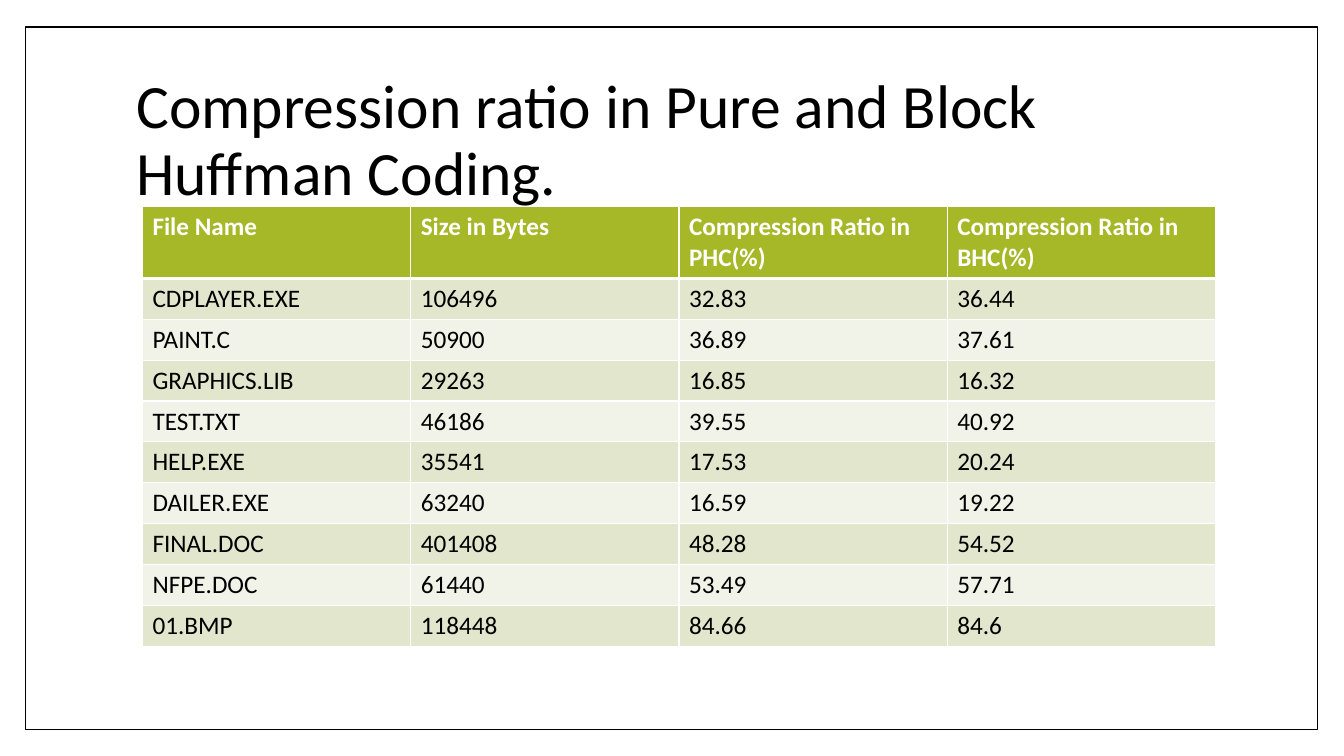
"""Build a slide comparing compression ratios of pure and block Huffman coding."""
import lxml.etree
import pptx
import pptx.dml.color
import pptx.enum.shapes
import pptx.enum.text
import pptx.oxml.ns
import pptx.util

Cm, Pt = pptx.util.Cm, pptx.util.Pt
RGBColor = pptx.dml.color.RGBColor

TITLE = "Compression ratio in Pure and Block Huffman Coding."
HEADINGS = ("File Name", "Size in Bytes", "Compression Ratio in PHC(%)", "Compression Ratio in BHC(%)")
FILES = [
    ("CDPLAYER.EXE", "106496", "32.83", "36.44"),
    ("PAINT.C", "50900", "36.89", "37.61"),
    ("GRAPHICS.LIB", "29263", "16.85", "16.32"),
    ("TEST.TXT", "46186", "39.55", "40.92"),
    ("HELP.EXE", "35541", "17.53", "20.24"),
    ("DAILER.EXE", "63240", "16.59", "19.22"),
    ("FINAL.DOC", "401408", "48.28", "54.52"),
    ("NFPE.DOC", "61440", "53.49", "57.71"),
    ("01.BMP", "118448", "84.66", "84.6"),
]

FONT = "Calibri"
BLACK = RGBColor(0x00, 0x00, 0x00)
WHITE = RGBColor(0xFF, 0xFF, 0xFF)
GREEN = RGBColor(0xA6, 0xB7, 0x27)
BANDS = (RGBColor(0xE1, 0xE6, 0xCD), RGBColor(0xF1, 0xF3, 0xE8))

COLUMN_WIDTH = Cm(6.76)
HEADER_HEIGHT = Cm(1.78)
ROW_HEIGHT = Cm(1.03)


def add_span(para, text, size, color, bold=False):
    """Add one formatted run to a paragraph."""
    span = para.add_run()
    span.text = text
    span.font.name = FONT
    span.font.size = Pt(size)
    span.font.bold = bold
    span.font.color.rgb = color


def add_frame(page):
    """Draw the page border behind everything else."""
    frame = page.shapes.add_shape(
        pptx.enum.shapes.MSO_SHAPE.RECTANGLE, Cm(0.64), Cm(0.68), Cm(32.56), Cm(17.7))
    frame.shadow.inherit = False
    frame.fill.solid()
    frame.fill.fore_color.rgb = WHITE
    frame.line.color.rgb = BLACK
    frame.line.width = Pt(1)
    page.shapes.title._element.addprevious(frame._element)


def add_title(page):
    """Place and fill the title."""
    title = page.shapes.title
    title.left, title.top, title.width, title.height = Cm(3.18), Cm(1.7), Cm(27.43), Cm(3.76)
    box = title.text_frame
    box.word_wrap = True
    box.auto_size = pptx.enum.text.MSO_AUTO_SIZE.NONE
    box.vertical_anchor = pptx.enum.text.MSO_ANCHOR.MIDDLE
    para = box.paragraphs[0]
    para.alignment = pptx.enum.text.PP_ALIGN.LEFT
    para.line_spacing = 0.9
    add_span(para, TITLE, 44, BLACK)


def set_borders(cell, top, bottom):
    """Give a cell white borders, with top and bottom widths in points."""
    properties = cell._tc.get_or_add_tcPr()
    for side, width in (("L", 1), ("R", 1), ("T", top), ("B", bottom)):
        line = lxml.etree.SubElement(
            properties, pptx.oxml.ns.qn(f"a:ln{side}"), w=str(Pt(width)))
        fill = lxml.etree.SubElement(line, pptx.oxml.ns.qn("a:solidFill"))
        lxml.etree.SubElement(fill, pptx.oxml.ns.qn("a:srgbClr"), val=str(WHITE))


def add_ratio_table(page):
    """Build the table of files and ratios."""
    rows = [HEADINGS, *FILES]
    table = page.shapes.add_table(
        len(rows), len(HEADINGS), Cm(3.59), Cm(5.21),
        COLUMN_WIDTH * len(HEADINGS), HEADER_HEIGHT + ROW_HEIGHT * len(FILES)).table
    for column in table.columns:
        column.width = COLUMN_WIDTH
    for row_index, values in enumerate(rows):
        header = row_index == 0
        table.rows[row_index].height = HEADER_HEIGHT if header else ROW_HEIGHT
        for column_index, value in enumerate(values):
            cell = table.cell(row_index, column_index)
            set_borders(cell, 3 if row_index == 1 else 1, 3 if header else 1)
            cell.fill.solid()
            cell.fill.fore_color.rgb = GREEN if header else BANDS[(row_index - 1) % 2]
            add_span(cell.text_frame.paragraphs[0], value, 18, WHITE if header else BLACK, header)


def main():
    """Create the deck and save it."""
    deck = pptx.Presentation()
    deck.slide_width, deck.slide_height = Cm(33.87), Cm(19.05)
    page = deck.slides.add_slide(deck.slide_layouts[5])
    add_frame(page)
    add_title(page)
    add_ratio_table(page)
    deck.save("out.pptx")


if __name__ == "__main__":
    main()
